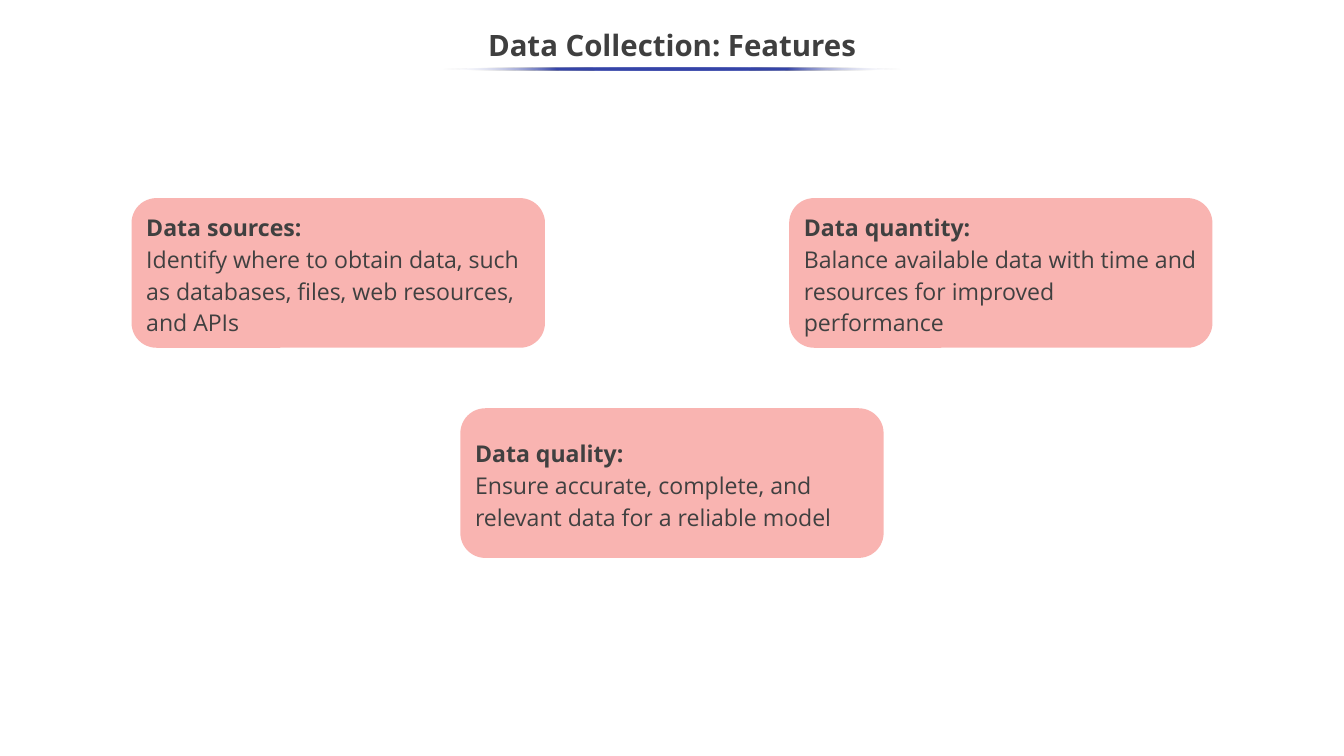
import pptx
import pptx.dml.color
import pptx.enum.shapes
import pptx.enum.text
import pptx.oxml
import pptx.oxml.ns
import pptx.util

PX = 9144
WIDTH, HEIGHT = 1778, 1000
FONT = "Open Sans"
CARD_FILL, INK, TITLE_INK = "F9B4B1", "404040", "3F3F3F"
RULE_STOPS = [(0, "FFFFFF", 0), (25, "3645A9", 100), (50, "3645A9", 100),
              (75, "3645A9", 100), (100, "FFFFFF", 0)]
CARDS = [
    ((174, 262, 547, 198), "Data sources:",
     "Identify where to obtain data, such as databases, files, web resources, and APIs"),
    ((609, 540, 560, 198), "Data quality:",
     "Ensure accurate, complete, and relevant data for a reliable model"),
    ((1044, 262, 560, 198), "Data quantity:",
     "Balance available data with time and resources for improved performance"),
]


def px(*lengths):
    """Turn px lengths into EMU."""
    return [pptx.util.Emu(n * PX) for n in lengths]


def color(value):
    """Turn a hex string into an RGB colour."""
    return pptx.dml.color.RGBColor.from_string(value)


def write(p, text, size=22, bold=False, ink=INK, align="LEFT", spacing=1.15):
    """Write one formatted run into a paragraph."""
    p.alignment = getattr(pptx.enum.text.PP_ALIGN, align)
    p.line_spacing = spacing
    p.space_before = p.space_after = pptx.util.Pt(0)
    r = p.add_run()
    r.text = text
    r.font.name, r.font.size, r.font.bold = FONT, pptx.util.Pt(size), bold
    r.font.color.rgb = color(ink)


def add_plain_shape(s, kind, box):
    """Add a preset shape without outline or shadow."""
    sp = s.shapes.add_shape(getattr(pptx.enum.shapes.MSO_SHAPE, kind), *px(*box))
    sp.shadow.inherit = False
    sp.line.fill.background()
    return sp


def add_title(s, box, text):
    """Place the slide title in its placeholder."""
    sp = s.shapes.title
    sp.left, sp.top, sp.width, sp.height = px(*box)
    tf = sp.text_frame
    tf.word_wrap = True
    tf.vertical_anchor = pptx.enum.text.MSO_ANCHOR.MIDDLE
    write(tf.paragraphs[0], text, size=28, bold=True, ink=TITLE_INK,
          align="CENTER", spacing=0.9)


def add_rule(s, box):
    """Draw the title underline, fading out at both ends."""
    sp = add_plain_shape(s, "OVAL", box)
    stops = "".join(
        f'<a:gs pos="{pos * 1000}"><a:srgbClr val="{value}">'
        f'<a:alpha val="{alpha * 1000}"/></a:srgbClr></a:gs>'
        for pos, value, alpha in RULE_STOPS)
    grad = pptx.oxml.parse_xml(
        f'<a:gradFill {pptx.oxml.ns.nsdecls("a")} rotWithShape="1">'
        f'<a:gsLst>{stops}</a:gsLst><a:lin ang="10800000" scaled="0"/></a:gradFill>')
    geometry = sp.element.spPr.find(pptx.oxml.ns.qn("a:prstGeom"))
    geometry.addnext(grad)


def add_card(s, box, heading, body):
    """Draw a rounded card with a bold heading above its body text."""
    sp = add_plain_shape(s, "ROUNDED_RECTANGLE", box)
    sp.fill.solid()
    sp.fill.fore_color.rgb = color(CARD_FILL)
    tf = sp.text_frame
    tf.word_wrap = True
    tf.vertical_anchor = pptx.enum.text.MSO_ANCHOR.MIDDLE
    write(tf.paragraphs[0], heading, bold=True)
    write(tf.add_paragraph(), body)


def main():
    """Build and save the slide."""
    prs = pptx.Presentation()
    prs.slide_width, prs.slide_height = px(WIDTH, HEIGHT)
    s = prs.slides.add_slide(prs.slide_layouts[5])
    add_title(s, (0, 25, WIDTH, 75), "Data Collection: Features")
    for box, heading, body in CARDS:
        add_card(s, box, heading, body)
    add_rule(s, (585, 89, 608, 4))
    prs.save("out.pptx")


if __name__ == "__main__":
    main()
